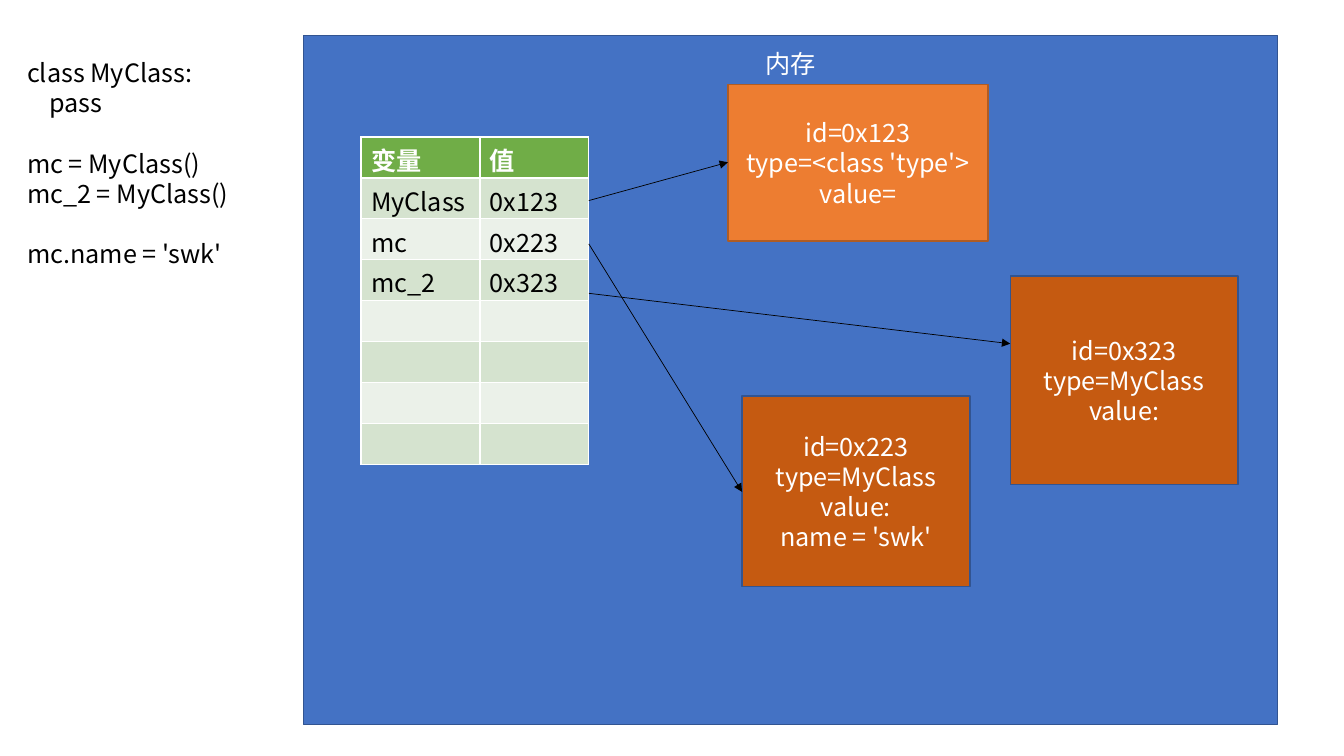
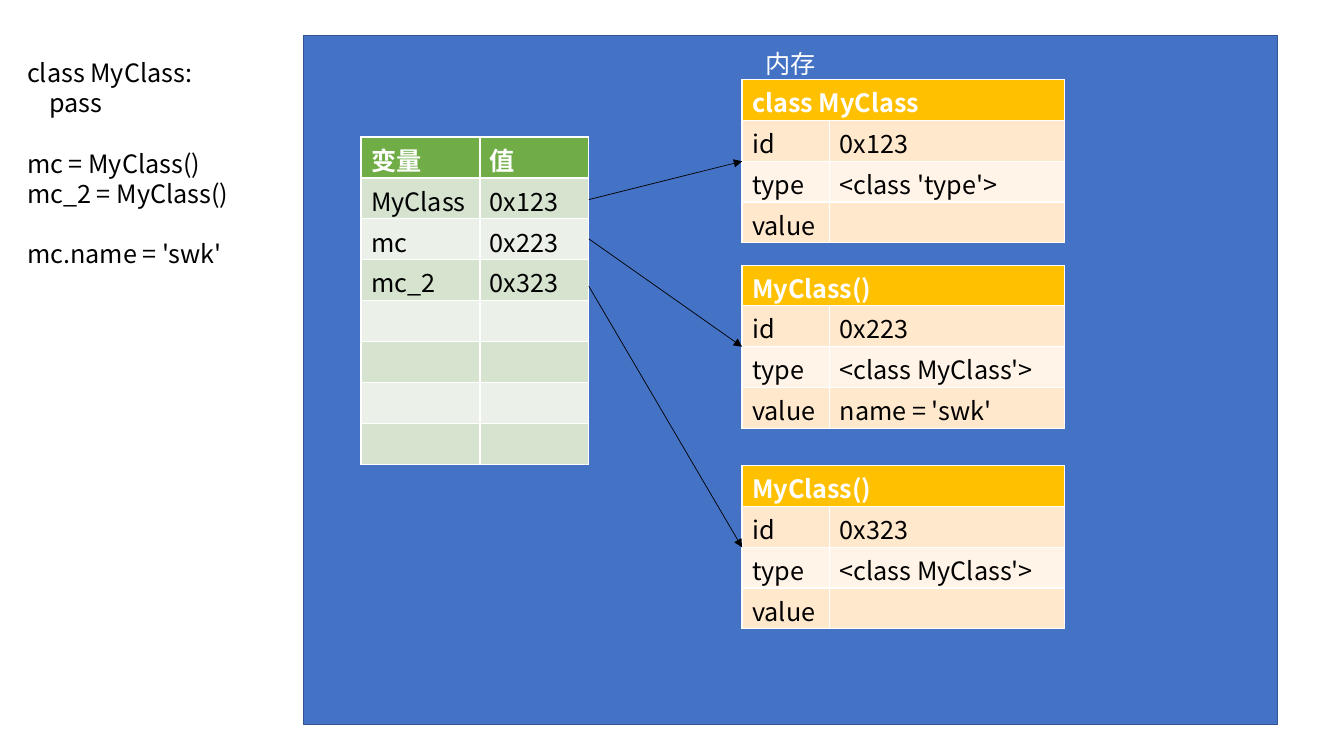
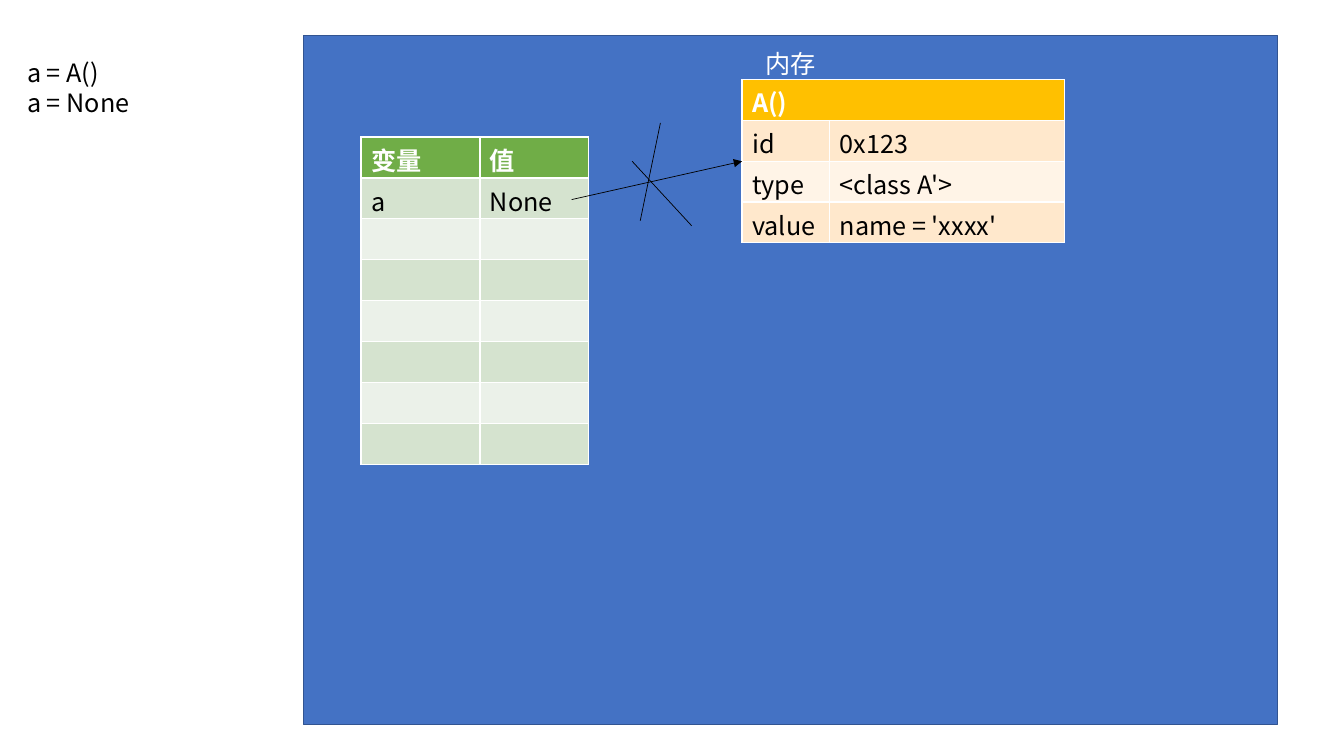
import pptx
import pptx.util
import pptx.dml.color
import pptx.enum.shapes
import pptx.enum.text
import lxml.etree

Inches, Pt = pptx.util.Inches, pptx.util.Pt
RGBColor = pptx.dml.color.RGBColor
KIND = pptx.enum.shapes.MSO_SHAPE
WIRE = pptx.enum.shapes.MSO_CONNECTOR
ALIGN = pptx.enum.text.PP_ALIGN
ANCHOR = pptx.enum.text.MSO_ANCHOR
FIT = pptx.enum.text.MSO_AUTO_SIZE

FONT = "Noto Sans CJK SC"
WHITE = RGBColor(0xFF, 0xFF, 0xFF)
BLACK = RGBColor(0x00, 0x00, 0x00)
BLUE = RGBColor(0x44, 0x72, 0xC4)
NAVY = RGBColor(0x32, 0x54, 0x91)
ORANGE = RGBColor(0xED, 0x7D, 0x31)
BROWN = RGBColor(0xAF, 0x5C, 0x24)
RUST = RGBColor(0xC5, 0x5A, 0x11)
# Header, odd row, even row
GREENS = (RGBColor(0x70, 0xAD, 0x47), RGBColor(0xD5, 0xE3, 0xCF), RGBColor(0xEB, 0xF1, 0xE9))
GOLDS = (RGBColor(0xFF, 0xC0, 0x00), RGBColor(0xFF, 0xE8, 0xCC), RGBColor(0xFF, 0xF4, 0xE7))

PITCH = Pt(21.6)
A = "{http://schemas.openxmlformats.org/drawingml/2006/main}"


def write(frame, lines, color, align=ALIGN.LEFT, bold=False):
    """Fill the frame; an empty line becomes a gap, leading spaces an indent."""
    para, gap = frame.paragraphs[0], 0
    for i, line in enumerate(lines):
        if not line and len(lines) > 1:
            gap = PITCH
            continue
        if i:
            para = frame.add_paragraph()
        text = line.lstrip()
        para.text = text
        para.alignment = align
        para.line_spacing = PITCH
        para.space_before, gap = gap, 0
        if text != line:
            indent = Inches(0.055 * (len(line) - len(text)))
            para._p.get_or_add_pPr().set("marL", str(indent))
        font = para.font
        font.size, font.bold, font.name = Pt(18), bold, FONT
        font.color.rgb = color
        lxml.etree.SubElement(font._rPr, A + "ea", typeface=FONT)


def block(slide, place, fill, edge, lines, anchor=ANCHOR.MIDDLE):
    """Add an outlined rectangle with centred white text."""
    rect = slide.shapes.add_shape(KIND.RECTANGLE, *map(Inches, place))
    rect.shadow.inherit = False
    rect.fill.solid()
    rect.fill.fore_color.rgb = fill
    rect.line.color.rgb = edge
    rect.line.width = Pt(1)
    frame = rect.text_frame
    frame.word_wrap = True
    frame.vertical_anchor = anchor
    write(frame, lines, WHITE, ALIGN.CENTER)
    return rect


CODE = ["class MyClass:", "    pass", "", "mc = MyClass()", "mc_2 = MyClass()",
        "", "mc.name = 'swk'"]
VARS = [("MyClass", "0x123"), ("mc", "0x223"), ("mc_2", "0x323")]

# Boxes: place, fill, edge, lines. Cards: top, title, id, type, value.
# Links: start, end, arrow or not.
PAGES = [
    dict(
        code=CODE, vars=VARS, cards=[],
        boxes=[
            ((7.22, 0.84, 2.58, 1.55), ORANGE, BROWN,
             ["id=0x123", "type=<class 'type'>", "value="]),
            ((7.36, 3.93, 2.26, 1.89), RUST, NAVY,
             ["id=0x223", "type=MyClass", "value:", "name = 'swk'"]),
            ((10.02, 2.74, 2.26, 2.07), RUST, NAVY,
             ["id=0x323", "type=MyClass", "value:"]),
        ],
        links=[(5.84, 1.99, 7.22, 1.61, True), (5.84, 2.42, 7.36, 4.88, True),
               (5.84, 2.91, 10.02, 3.41, True)],
    ),
    dict(
        code=CODE, vars=VARS, boxes=[],
        cards=[
            (0.79, "class MyClass", "0x123", "<class 'type'>", ""),
            (2.63, "MyClass()", "0x223", "<class MyClass'>", "name = 'swk'"),
            (4.62, "MyClass()", "0x323", "<class MyClass'>", ""),
        ],
        links=[(5.84, 1.98, 7.36, 1.6, True), (5.84, 2.37, 7.36, 3.44, True),
               (5.84, 2.84, 7.36, 5.43, True)],
    ),
    dict(
        code=["a = A()", "a = None"], vars=[("a", "None")], boxes=[],
        cards=[(0.79, "A()", "0x123", "<class A'>", "name = 'xxxx'")],
        links=[(5.67, 1.98, 7.36, 1.6, True), (6.27, 1.6, 6.86, 2.24, False),
               (6.55, 1.22, 6.35, 2.19, False)],
    ),
]

deck = pptx.Presentation()
deck.slide_width, deck.slide_height = Inches(13.33), Inches(7.5)

for page in PAGES:
    slide = deck.slides.add_slide(deck.slide_layouts[6])
    memory = block(slide, (3.01, 0.35, 9.66, 6.84), BLUE, NAVY, ["内存"], ANCHOR.TOP)
    memory.text_frame.margin_top = Inches(0.13)

    code = page["code"]
    note = slide.shapes.add_textbox(
        Inches(0.17), Inches(0.52), Inches(2.22), Inches(0.1 + 0.3 * len(code)))
    note.text_frame.word_wrap = True
    note.text_frame.auto_size = FIT.SHAPE_TO_FIT_TEXT
    write(note.text_frame, code, BLACK)

    # Each grid: left, top, column widths, height, colours, rows
    names = [("变量", "值")] + page["vars"]
    names += [("", "")] * (8 - len(names))
    grids = [(3.58, 1.36, (1.18, 1.08), 3.25, GREENS, names)]
    for top, title, ident, kind, value in page["cards"]:
        rows = [(title, ""), ("id", ident), ("type", kind), ("value", value)]
        grids.append((7.36, top, (0.87, 2.33), 1.62, GOLDS, rows))

    for left, top, widths, height, tints, rows in grids:
        table = slide.shapes.add_table(
            len(rows), 2, Inches(left), Inches(top),
            Inches(sum(widths)), Inches(height)).table
        for col, width in zip(table.columns, widths):
            col.width = Inches(width)
        for r, row in enumerate(rows):
            tint = tints[0] if r == 0 else tints[2 - r % 2]
            for c, text in enumerate(row):
                cell = table.cell(r, c)
                cell.fill.solid()
                cell.fill.fore_color.rgb = tint
                cell.margin_top, cell.margin_bottom = Inches(0.1), 0
                write(cell.text_frame, [text], BLACK if r else WHITE, bold=r == 0)
        if tints is GOLDS:
            table.cell(0, 0).merge(table.cell(0, 1))

    for box in page["boxes"]:
        block(slide, *box)

    for *ends, arrow in page["links"]:
        link = slide.shapes.add_connector(WIRE.STRAIGHT, *map(Inches, ends))
        link.line.color.rgb = BLACK
        link.line.width = Pt(0.5)
        if arrow:
            lxml.etree.SubElement(link.line._get_or_add_ln(), A + "tailEnd", type="triangle")
        lxml.etree.SubElement(link._element.spPr, A + "effectLst")

deck.save("out.pptx")
